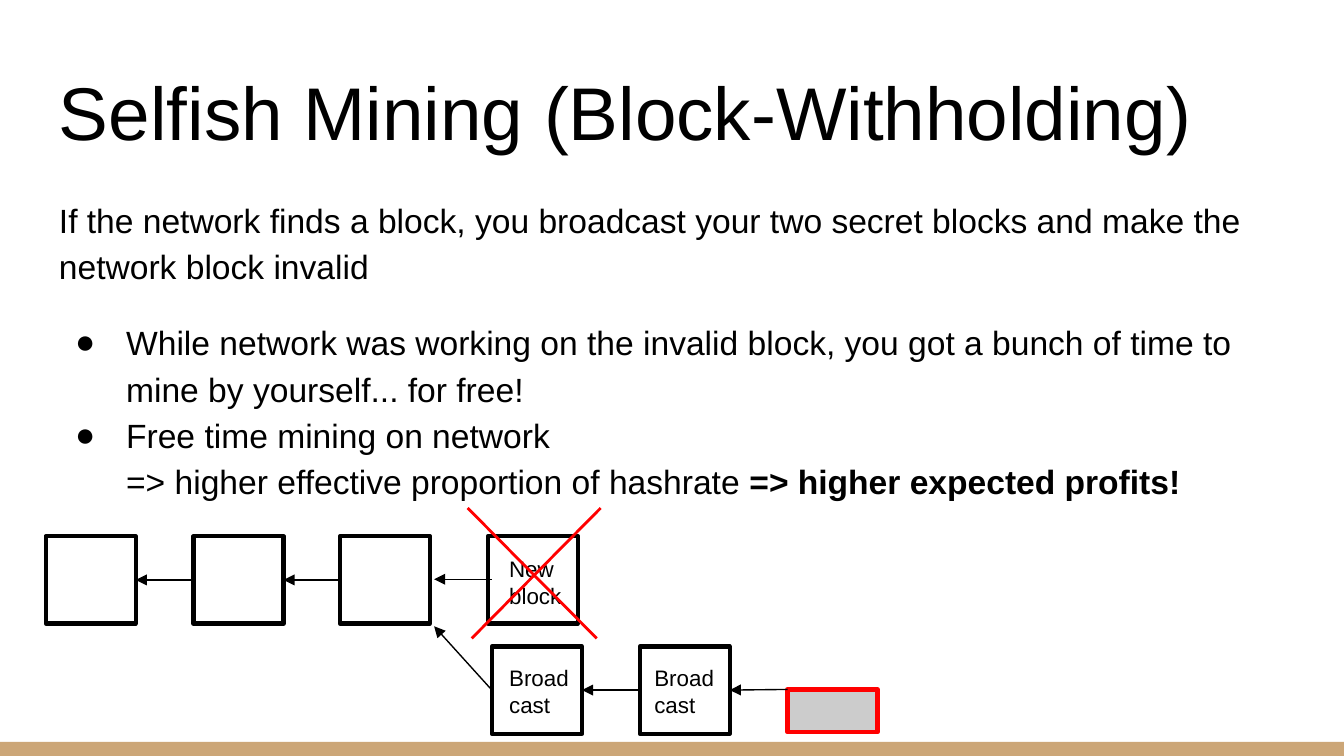
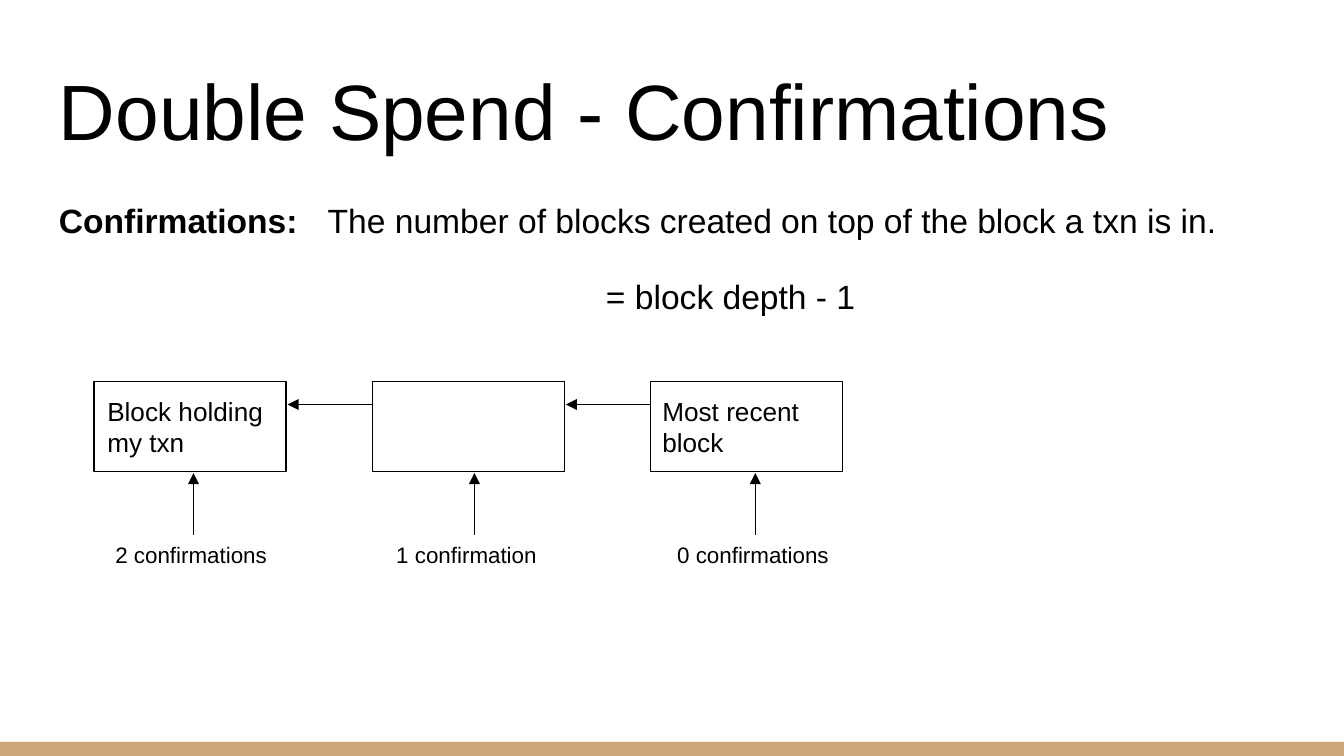
from lxml import etree
from pptx import Presentation
from pptx.dml.color import RGBColor
from pptx.enum.shapes import MSO_CONNECTOR as Link, MSO_SHAPE as Form
from pptx.enum.text import MSO_ANCHOR as Anchor
from pptx.oxml.ns import qn
from pptx.util import Pt

PX = 9144  # 100 px to the inch
FONT = "Arial"
INK, RED, TAN, GREY, WHITE = "000000", "FF0000", "CCA677", "CCCCCC", "FFFFFF"
rgb = RGBColor.from_string


def text(slide, at, words, size=12, frame=None, low=False, lead=None,
         before=None, after=None, left=0, hang=0, mark=None, tab=None):
    """Add one paragraph, to a new box or to a given frame; *stars* are bold."""
    if frame is None:
        frame = slide.shapes.add_textbox(*[v * PX for v in at]).text_frame
        frame.word_wrap = True
        frame.margin_left = frame.margin_right = 10 * PX
        frame.margin_top = frame.margin_bottom = 10 * PX
        frame.vertical_anchor = Anchor.BOTTOM if low else Anchor.TOP
        par = frame.paragraphs[0]
    else:
        par = frame.add_paragraph()
    props = par._p.get_or_add_pPr()
    props.set("marL", str(left * PX))
    props.set("indent", str(-hang * PX))
    if mark:
        tint = etree.SubElement(props, qn("a:buClr"))
        etree.SubElement(tint, qn("a:srgbClr"), val=INK)
        etree.SubElement(props, qn("a:buFont"), typeface=FONT)
        etree.SubElement(props, qn("a:buChar"), char=mark)
    if tab:
        stops = etree.SubElement(props, qn("a:tabLst"))
        etree.SubElement(stops, qn("a:tab"), pos=str(tab * PX), algn="l")
    if lead:
        par.line_spacing = lead
    if before:
        par.space_before = Pt(before)
    if after:
        par.space_after = Pt(after)
    for i, part in enumerate(words.split("*")):
        for j, row in enumerate(part.split("\n")):
            if j:
                par.add_line_break()
            if row:
                run = par.add_run()
                run.text = row
                run.font.name, run.font.size = FONT, Pt(size)
                run.font.bold = i % 2 == 1
                run.font.color.rgb = rgb(INK)
    for gap in par._p.findall(qn("a:br")):
        etree.SubElement(gap, qn("a:rPr"), sz=str(size * 100))
    return frame


def line(slide, ends, tint=INK, width=0.75, head=True, start=None, stop=None):
    """Draw a line; start joins a left side and stop joins a right side."""
    link = slide.shapes.add_connector(Link.STRAIGHT, *[v * PX for v in ends])
    link.line.color.rgb, link.line.width = rgb(tint), Pt(width)
    if head:
        etree.SubElement(link.line._get_or_add_ln(), qn("a:tailEnd"), type="triangle")
    etree.SubElement(link._element.spPr, qn("a:effectLst"))
    if start:
        link.begin_connect(start, 1)
    if stop:
        link.end_connect(stop, 3)


# Slides of 16 to 9
deck = Presentation()
deck.slide_width = 1000 * PX
deck.slide_height = deck.slide_width * 9 // 16
mine, spend = [deck.slides.add_slide(deck.slide_layouts[6]) for _ in range(2)]

# Shared title and background
for slide, title, size in ((mine, "Selfish Mining (Block-Withholding)", 40),
                           (spend, "Double Spend - Confirmations", 42)):
    slide.background.fill.solid()
    slide.background.fill.fore_color.rgb = rgb(WHITE)
    text(slide, (34, 35, 932, 91), title, size, low=True)

# Bands and blocks: slide, name, place, fill, edge, edge width
W, H = 67, 65
boxes = [(s, "band", (0, 552, 1000, 11), TAN, None, 0) for s in (mine, spend)]
boxes += [(mine, name, (x, y, W, H), None, INK, 2.25) for name, x, y in (
    ("old", 34, 399), ("mid", 144, 399), ("tip", 253, 399), ("new", 363, 399),
    ("cast", 366, 481), ("next", 476, 481))]
boxes += [(mine, "work", (586, 513, W, 32), GREY, RED, 2.25)]
boxes += [(spend, f"txn{i}", (70 + 207 * i, 284, 143, 67), None, INK, 0.75)
          for i in range(3)]
made = {}
for slide, name, at, fill, edge, width in boxes:
    box = slide.shapes.add_shape(Form.RECTANGLE, *[v * PX for v in at])
    box.shadow.inherit = False
    if fill:
        box.fill.solid()
        box.fill.fore_color.rgb = rgb(fill)
    else:
        box.fill.background()
    if edge:
        box.line.color.rgb, box.line.width = rgb(edge), Pt(width)
    else:
        box.line.fill.background()
    made[name] = box

# Selfish mining: body
body = text(mine, (34, 134, 932, 245),
            "If the network finds a block, you broadcast your two secret blocks "
            "and make the network block invalid", 18, lead=1.15)
for words, before in (
        ("While network was working on the invalid block, you got a bunch of "
         "time to mine by yourself... for free!", 16),
        ("Free time mining on network \n=> higher effective proportion of "
         "hashrate *=> higher expected profits!*", 0)):
    text(mine, None, words, 18, frame=body, lead=1.15, before=before,
         left=50, hang=38, mark="●")

# Selfish mining: block labels
for x, y, words in ((369, 403, "New block"), (369, 484, "Broad\ncast"),
                    (477, 484, "Broad\ncast")):
    text(mine, (x, y, 77, 58), words)

# Selfish mining: chain arrows
for ends, start, stop in (
        ((144, 431, 101, 431), "mid", "old"),
        ((253, 431, 210, 431), "tip", "mid"),
        ((366, 431, 323, 431), None, None),
        ((366, 513, 323, 466), "cast", None),
        ((476, 513, 433, 513), "next", "cast"),
        ((586, 513, 543, 513), None, "next")):
    line(mine, ends, start=made.get(start), stop=made.get(stop))

# Selfish mining: cross over the lost block
for ends in ((348, 378, 444, 475), (351, 475, 447, 378)):
    line(mine, ends, RED, 1.5, head=False)

# Confirmations: body
body = text(spend, (34, 134, 932, 367),
            "*Confirmations:*\tThe number of blocks created on top of the block "
            "a txn is in.", 18, lead=1.15, tab=198)
text(spend, None, "= block depth - 1", 18, frame=body, lead=1.15,
     before=16, after=16, left=407)

# Confirmations: block labels and arrows
for x, words in ((70, "Block holding my txn"), (483, "Most recent block")):
    text(spend, (x, 284, 143, 67), words, 14)
for x in (277, 484):
    line(spend, (x, 301, x - 63, 301))
for i, words in enumerate(("2 confirmations", "1 confirmation", "0 confirmations")):
    x = 76 + 209 * i
    line(spend, (x + 68, 398, x + 68, 352))
    text(spend, (x, 393, 137, 51), words)

deck.save("out.pptx")
